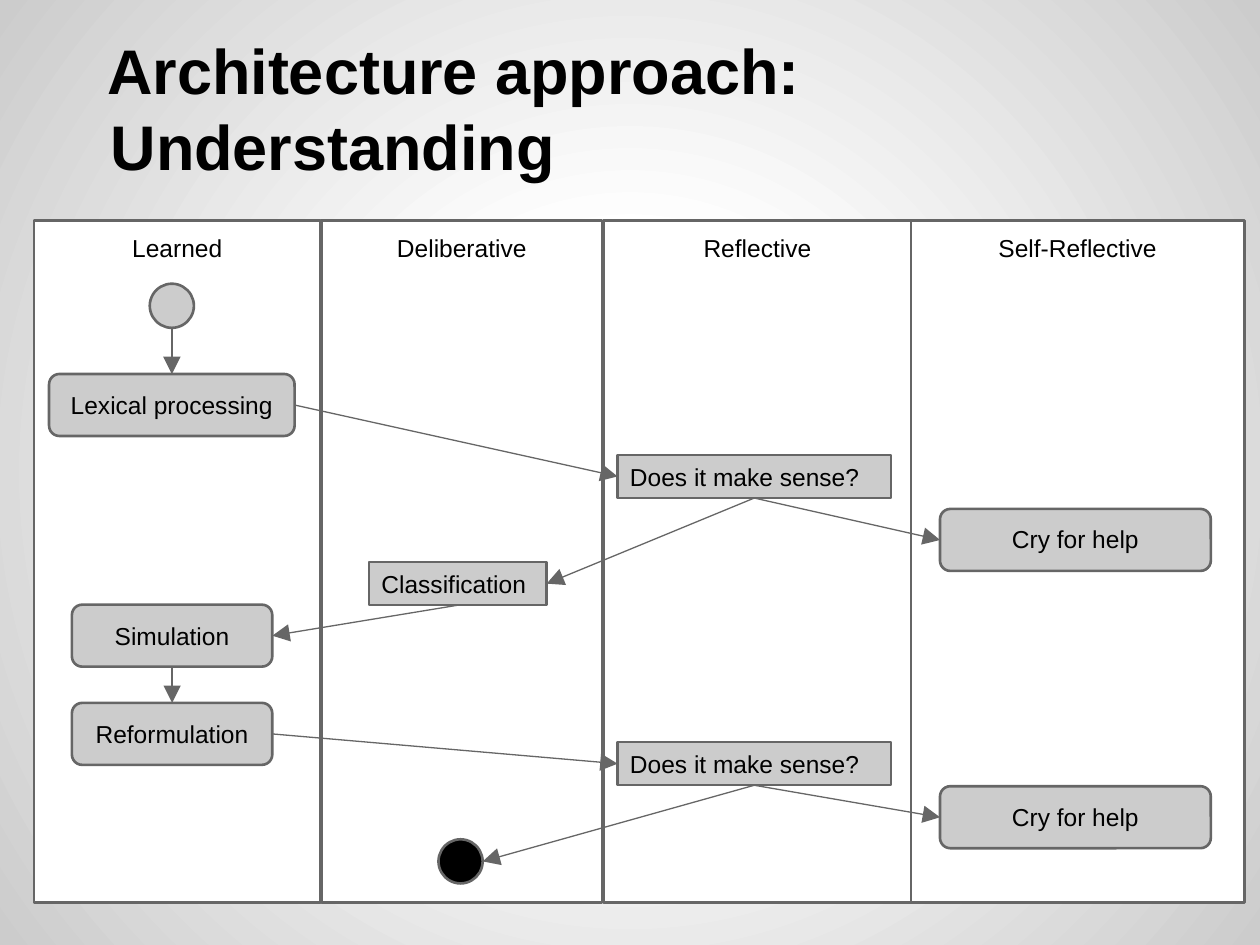
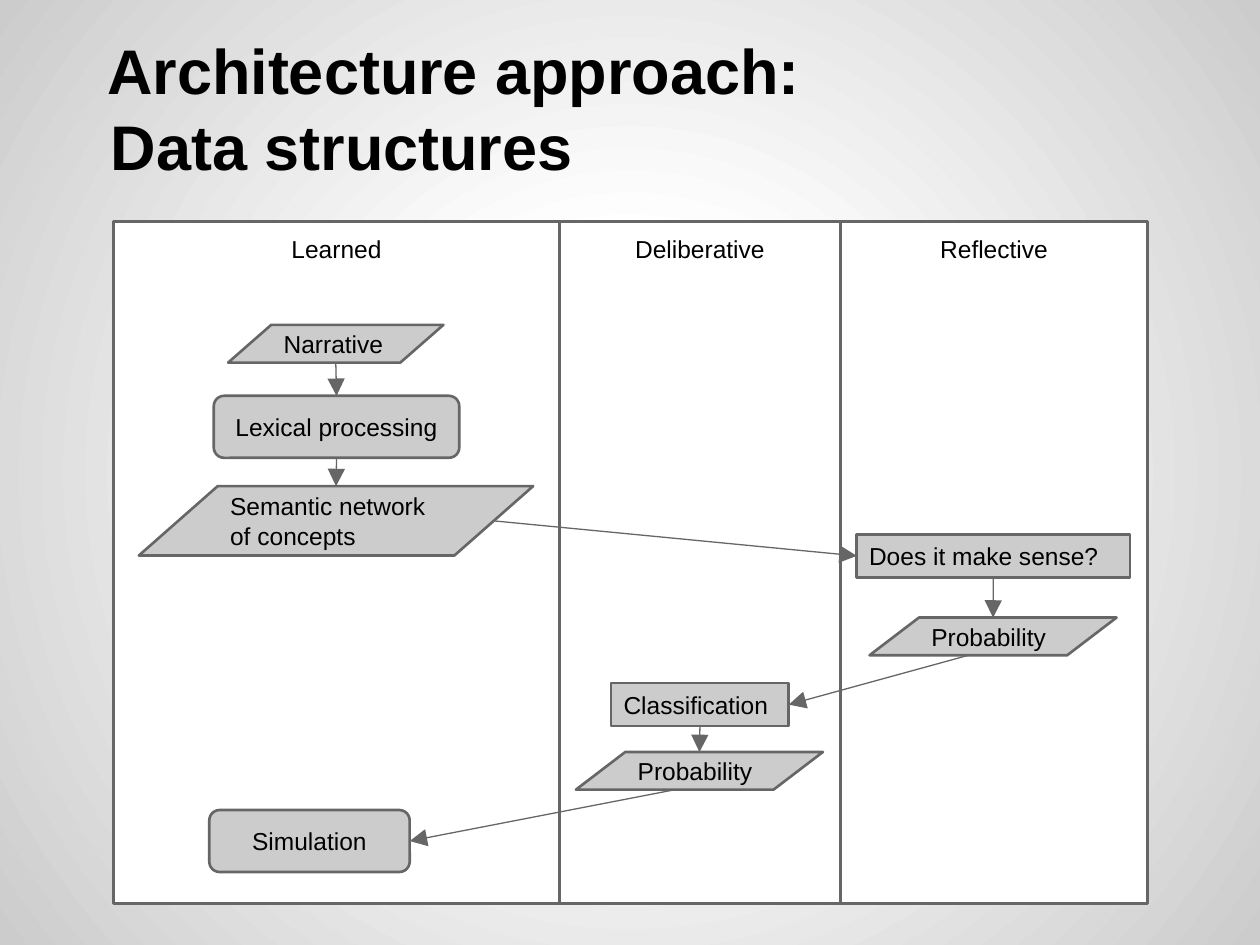
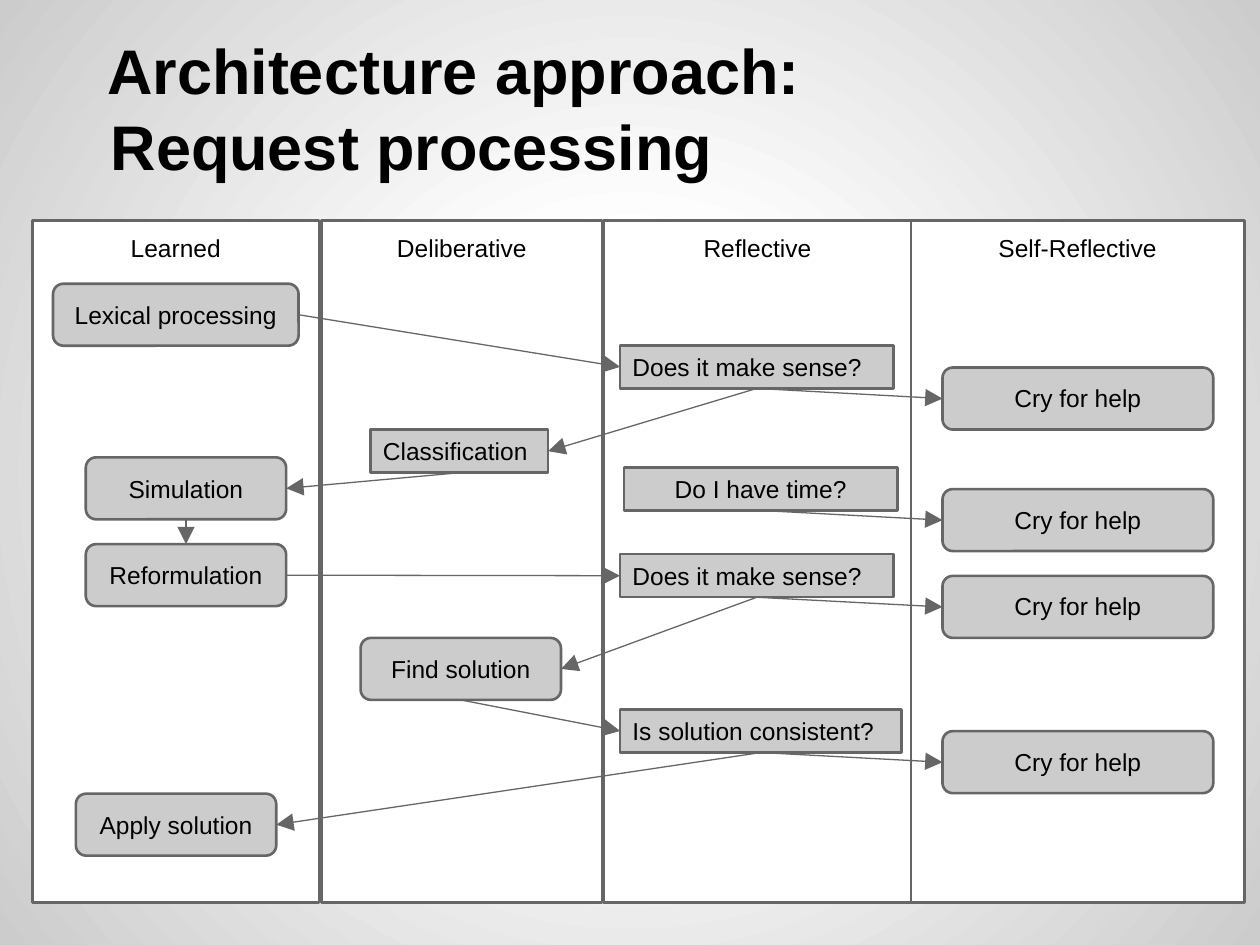
from pptx import Presentation
from pptx.dml.color import RGBColor
from pptx.enum.shapes import MSO_CONNECTOR as Line, MSO_SHAPE as Shape
from pptx.enum.text import MSO_ANCHOR as Anchor, PP_ALIGN as Align
from pptx.oxml import parse_xml
from pptx.oxml.ns import nsdecls, qn
from pptx.util import Cm, Pt
from lxml.etree import SubElement

BLACK = RGBColor(0x00, 0x00, 0x00)
WHITE = RGBColor(0xFF, 0xFF, 0xFF)
SILVER = RGBColor(0xCC, 0xCC, 0xCC)
GREY = RGBColor(0x66, 0x66, 0x66)
FONT = "Arial"
INSET = 0.25
STEP_HEIGHT = 1.25
CHECK_HEIGHT = 0.87
LANE_HEIGHT = 13.74
DOT = 0.89
LONG_STEP, STEP, HELP = 4.95, 4.04, 5.46
QUESTION, LABEL = 5.51, 3.58


class Flowchart:
    def __init__(self):
        self.deck = Presentation()
        self.deck.slide_width, self.deck.slide_height = Cm(25.4), Cm(19.05)
        self.page = None
        self.paint_background()

    def paint_background(self):
        master = self.deck.slide_master
        master.background.fill.solid()
        holder = master.element.find(".//" + qn("p:bgPr"))
        stops = "".join(
            f'<a:gs pos="{place * 1000}"><a:srgbClr val="{color}"/></a:gs>'
            for place, color in ((0, WHITE), (30, WHITE), (100, SILVER)))
        holder.replace(holder[0], parse_xml(
            f'<a:gradFill {nsdecls("a")}><a:gsLst>{stops}</a:gsLst>'
            '<a:path path="circle"><a:fillToRect l="50000" t="50000" '
            'r="50000" b="50000"/></a:path></a:gradFill>'))

    def start_page(self, subtitle):
        self.page = self.deck.slides.add_slide(self.deck.slide_layouts[6])
        box = self.page.shapes.add_textbox(
            Cm(1.27), Cm(0.76), Cm(22.86), Cm(3.18))
        self.frame(box, Anchor.BOTTOM)
        first = box.text_frame.paragraphs[0]
        second = box.text_frame.add_paragraph()
        lines = ((first, "Architecture approach:", 0.64), (second, subtitle, 0.71))
        for para, text, indent in lines:
            para._p.get_or_add_pPr().set("marL", str(Cm(indent)))
            self.add_span(para, text, 36, bold=True)

    def frame(self, box, anchor):
        frame = box.text_frame
        frame.word_wrap = True
        frame.vertical_anchor = anchor
        frame.margin_left = frame.margin_right = Cm(INSET)
        frame.margin_top = frame.margin_bottom = Cm(INSET)

    def add_span(self, para, text, size, bold=False, align=Align.LEFT):
        para.alignment = align
        span = para.add_run()
        span.text = text
        span.font.name, span.font.size, span.font.bold = FONT, Pt(size), bold
        span.font.color.rgb = BLACK

    def block(self, kind, x, y, width, height, text="", fill=SILVER,
              align=Align.CENTER, anchor=Anchor.MIDDLE):
        box = self.page.shapes.add_shape(
            kind, Cm(x), Cm(y), Cm(width), Cm(height))
        box.shadow.inherit = False
        box.fill.solid()
        box.fill.fore_color.rgb = fill
        box.line.color.rgb, box.line.width = GREY, Pt(1.5)
        if text:
            self.frame(box, anchor)
            self.add_span(box.text_frame.paragraphs[0], text, 14, align=align)
        return box

    def lanes(self, top, *columns):
        for name, x, width in columns:
            self.block(Shape.RECTANGLE, x, top, width, LANE_HEIGHT, name,
                       WHITE, anchor=Anchor.TOP)

    def step(self, text, x, y, width=STEP, anchor=Anchor.MIDDLE):
        return self.block(Shape.ROUNDED_RECTANGLE, x, y, width, STEP_HEIGHT,
                          text, anchor=anchor)

    def cry(self, x, y):
        return self.step("Cry for help", x, y, HELP, Anchor.TOP)

    def check(self, text, x, y, width=QUESTION, align=Align.LEFT):
        return self.block(Shape.RECTANGLE, x, y, width, CHECK_HEIGHT, text,
                          align=align)

    def sense(self, x, y):
        return self.check("Does it make sense?", x, y)

    def data(self, text, x, y, width=4.98, height=0.76):
        return self.block(Shape.FLOWCHART_DATA, x, y, width, height, text,
                          align=Align.LEFT)

    def dot(self, x, y, fill):
        return self.block(Shape.FLOWCHART_CONNECTOR, x, y, DOT, DOT, fill=fill)

    def point(self, box, side, slanted=False):
        across, down = {
            "top": (0.5, 0), "left": (0, 0.5),
            "bottom": (0.4 if slanted else 0.5, 1),
            "right": (0.9 if slanted else 1, 0.5)}[side]
        return (box.left + round(box.width * across),
                box.top + round(box.height * down))

    def link(self, source, leave, target, enter, slanted=False):
        arrow = self.page.shapes.add_connector(
            Line.STRAIGHT, *self.point(source, leave, slanted),
            *self.point(target, enter))
        arrow.line.color.rgb, arrow.line.width = GREY, Pt(0.75)
        SubElement(arrow.line._get_or_add_ln(), qn("a:tailEnd"),
                   type="triangle", w="lg", len="lg")
        SubElement(arrow._element.spPr, qn("a:effectLst"))


def four_lanes(chart, learned_x):
    chart.lanes(4.45, ("Self-Reflective", 18.36, 6.73),
                ("Learned", learned_x, 5.77),
                ("Deliberative", 6.48, 5.66), ("Reflective", 12.17, 6.2))


def understanding(chart):
    chart.start_page("Understanding")
    four_lanes(chart, 0.69)
    start = chart.dot(3.02, 5.72, SILVER)
    lexical = chart.step("Lexical processing", 0.99, 7.54, LONG_STEP)
    first_sense = chart.sense(12.45, 9.17)
    first_cry = chart.cry(18.95, 10.26)
    classification = chart.check("Classification", 7.44, 11.33, LABEL)
    simulation = chart.step("Simulation", 1.45, 12.19)
    reformulation = chart.step("Reformulation", 1.45, 14.17)
    second_sense = chart.sense(12.45, 14.96)
    second_cry = chart.cry(18.95, 15.85)
    finish = chart.dot(8.84, 16.92, BLACK)
    chart.link(start, "bottom", lexical, "top")
    chart.link(lexical, "right", first_sense, "left")
    chart.link(first_sense, "bottom", first_cry, "left")
    chart.link(first_sense, "bottom", classification, "right")
    chart.link(classification, "bottom", simulation, "right")
    chart.link(simulation, "bottom", reformulation, "top")
    chart.link(reformulation, "right", second_sense, "left")
    chart.link(second_sense, "bottom", second_cry, "left")
    chart.link(second_sense, "bottom", finish, "right")


def data_structures(chart):
    chart.start_page("Data structures")
    chart.lanes(4.47, ("Learned", 2.29, 8.99), ("Deliberative", 11.28, 5.66),
                ("Reflective", 16.94, 6.2))
    narrative = chart.data("Narrative", 4.6, 6.55, 4.34)
    lexical = chart.step("Lexical processing", 4.31, 7.98, LONG_STEP)
    network = chart.data("Semantic network of concepts", 2.8, 9.8, 7.95, 1.4)
    sense = chart.sense(17.27, 10.77)
    sense_odds = chart.data("Probability", 17.53, 12.45)
    classification = chart.check("Classification", 12.32, 13.77, LABEL)
    class_odds = chart.data("Probability", 11.61, 15.16)
    simulation = chart.step("Simulation", 4.22, 16.33)
    chart.link(narrative, "bottom", lexical, "top")
    chart.link(lexical, "bottom", network, "top")
    chart.link(network, "right", sense, "left", slanted=True)
    chart.link(sense, "bottom", sense_odds, "top")
    chart.link(sense_odds, "bottom", classification, "right", slanted=True)
    chart.link(classification, "bottom", class_odds, "top")
    chart.link(class_odds, "bottom", simulation, "right", slanted=True)


def request_processing(chart):
    chart.start_page("Request processing")
    four_lanes(chart, 0.66)
    lexical = chart.step("Lexical processing", 1.07, 5.72, LONG_STEP)
    first_sense = chart.sense(12.5, 6.96)
    classification = chart.check("Classification", 7.47, 8.66, LABEL)
    simulation = chart.step("Simulation", 1.73, 9.22)
    reformulation = chart.step("Reformulation", 1.73, 10.97)
    time = chart.check("Do I have time?", 12.58, 9.42, align=Align.CENTER)
    second_sense = chart.sense(12.5, 11.17)
    solution = chart.step("Find solution", 7.27, 12.86)
    consistent = chart.check("Is solution consistent?", 12.5, 14.3, 5.68)
    apply_step = chart.step("Apply solution", 1.53, 16)
    chart.link(lexical, "right", first_sense, "left")
    chart.link(first_sense, "bottom", classification, "right")
    chart.link(classification, "bottom", simulation, "right")
    chart.link(simulation, "bottom", reformulation, "top")
    chart.link(reformulation, "right", second_sense, "left")
    chart.link(second_sense, "bottom", solution, "right")
    chart.link(solution, "bottom", consistent, "left")
    chart.link(consistent, "bottom", apply_step, "right")
    cries = ((first_sense, 7.41), (time, 9.86), (second_sense, 11.61),
             (consistent, 14.74))
    for question, y in cries:
        chart.link(question, "bottom", chart.cry(19, y), "left")


chart = Flowchart()
understanding(chart)
data_structures(chart)
request_processing(chart)
chart.deck.save("out.pptx")
